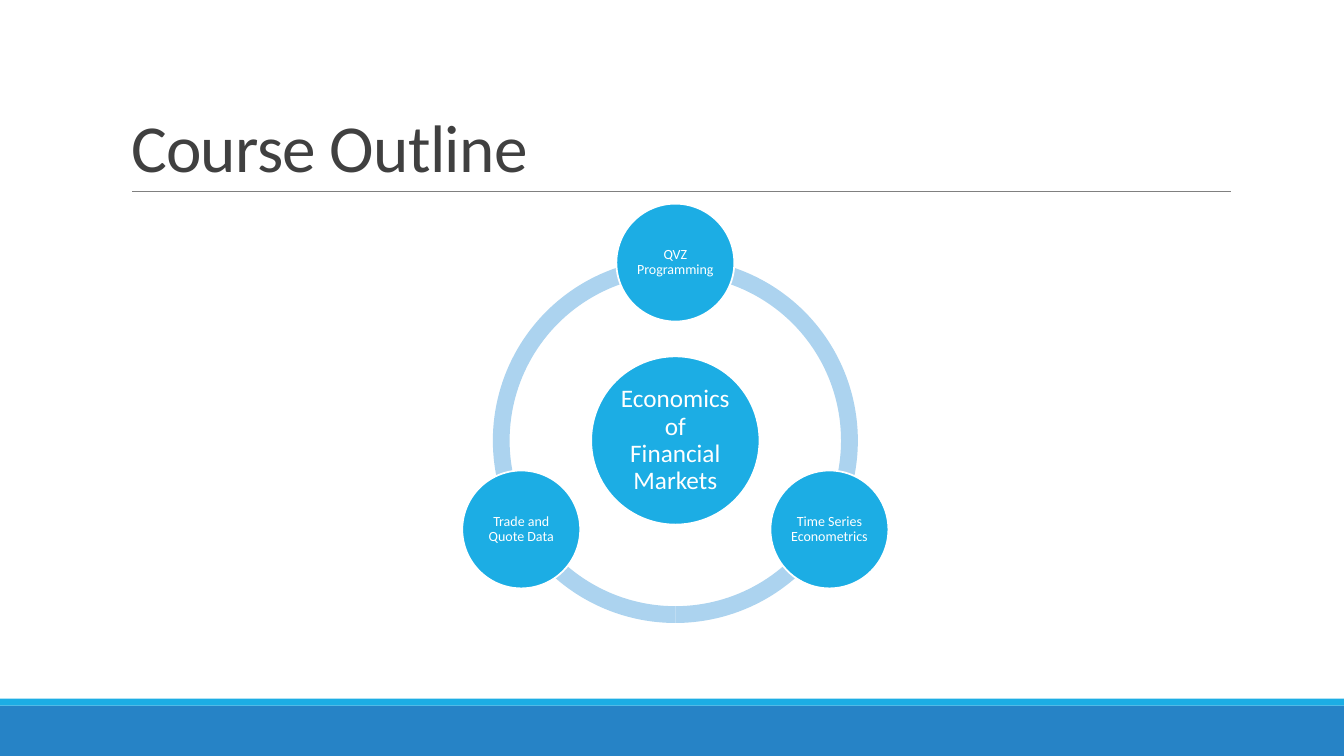
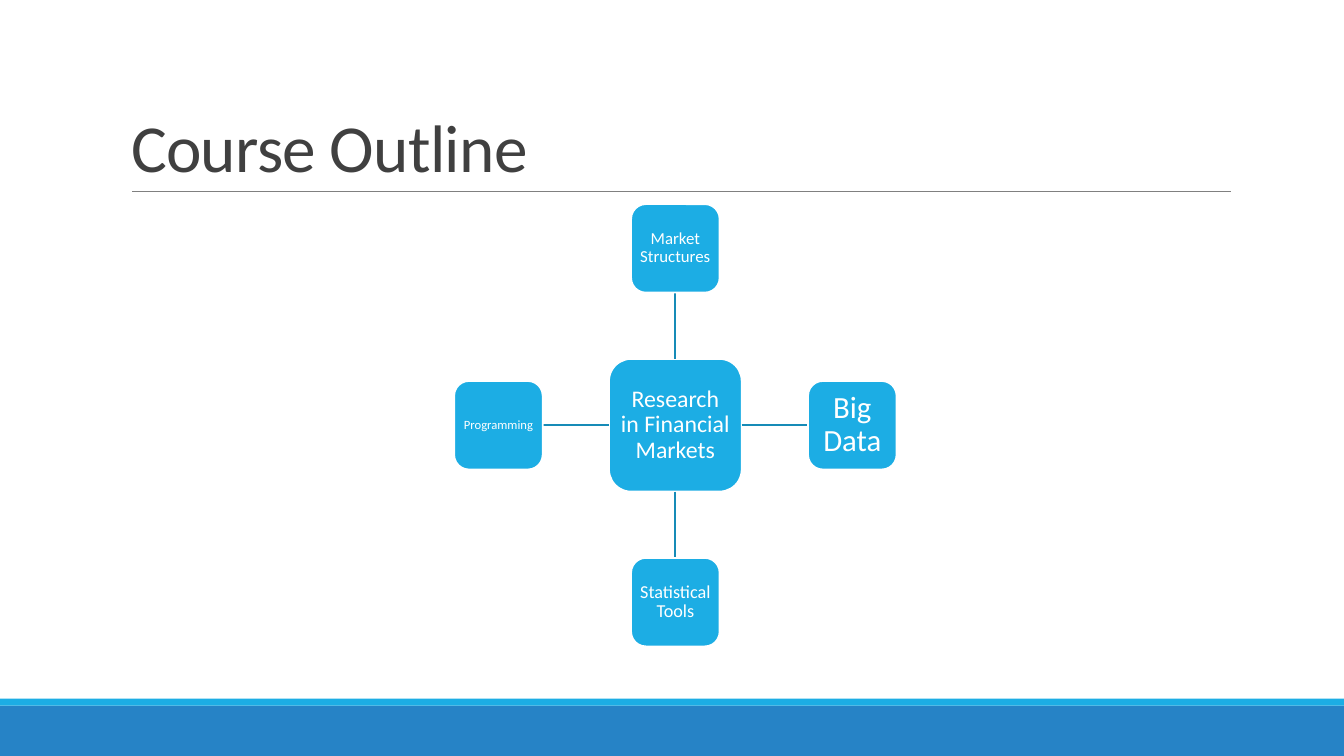
import math

import pptx
import pptx.dml.color
import pptx.enum.shapes
import pptx.enum.text
import pptx.oxml
import pptx.util

RGBColor = pptx.dml.color.RGBColor
MSO_SHAPE = pptx.enum.shapes.MSO_SHAPE

WIDTH = pptx.util.Inches(13.33)
HEIGHT = pptx.util.Inches(7.5)
FONT = "Calibri"

WHITE = RGBColor(0xFF, 0xFF, 0xFF)
SKY = RGBColor(0x1C, 0xAD, 0xE4)
BLUE = RGBColor(0x26, 0x83, 0xC6)
PALE_BLUE = RGBColor(0xAC, 0xD3, 0xEF)
TEAL = RGBColor(0x16, 0x8B, 0xB7)
GREY = RGBColor(0x80, 0x80, 0x80)
DARK = RGBColor(0x40, 0x40, 0x40)


def across(percent):
    return round(WIDTH * percent / 100)


def down(percent):
    return round(HEIGHT * percent / 100)


def around(centre, radius, degrees):
    angle = math.radians(degrees)
    return (centre[0] + round(radius * math.cos(angle)),
            centre[1] + round(radius * math.sin(angle)))


def add_filled(s, kind, box, fill, border=None):
    sp = s.shapes.add_shape(kind, *box)
    sp.shadow.inherit = False
    sp.fill.solid()
    sp.fill.fore_color.rgb = fill
    if border is None:
        sp.line.fill.background()
    else:
        sp.line.color.rgb = border
        sp.line.width = pptx.util.Pt(1.25)
    return sp


def add_line(s, start, end, color, width):
    line = s.shapes.add_connector(
        pptx.enum.shapes.MSO_CONNECTOR.STRAIGHT, *start, *end)
    line.line.color.rgb = color
    line.line.width = pptx.util.Pt(width)
    line.element.spPr.append(pptx.oxml.parse_xml(
        '<a:effectLst xmlns:a='
        '"http://schemas.openxmlformats.org/drawingml/2006/main"/>'))
    return line


def square(centre, size):
    return centre[0] - size // 2, centre[1] - size // 2, size, size


def add_node(s, kind, centre, size, text, points, inset):
    sp = add_filled(s, kind, square(centre, size), SKY, WHITE)
    tf = sp.text_frame
    tf.word_wrap = True
    tf.vertical_anchor = pptx.enum.text.MSO_ANCHOR.MIDDLE
    tf.margin_left = tf.margin_right = pptx.util.Inches(inset)
    tf.margin_top = tf.margin_bottom = pptx.util.Inches(inset)
    p = tf.paragraphs[0]
    p.text = text
    p.alignment = pptx.enum.text.PP_ALIGN.CENTER
    p.line_spacing = 0.9
    p.font.name = FONT
    p.font.size = pptx.util.Pt(points)
    p.font.color.rgb = WHITE


def set_up_layout(layout, s):
    for placeholder in list(layout.placeholders):
        if placeholder.placeholder_format.idx != 0:
            layout.shapes.element.remove(placeholder.element)
    title = layout.placeholders[0]
    title.left, title.top = across(9), down(4.13)
    title.width, title.height = across(82.5), down(21.2)
    rule_y = down(25.33)
    shared = [
        add_filled(s, MSO_SHAPE.RECTANGLE,
                   (0, down(93.33), WIDTH, down(6.67)), BLUE),
        add_filled(s, MSO_SHAPE.RECTANGLE,
                   (0, down(92.4), WIDTH, down(0.93)), SKY),
        add_line(s, (across(9.83), rule_y), (across(91.6), rule_y),
                 GREY, 0.5),
    ]
    for sp in shared:
        layout.shapes.element.append(sp.element)


def set_title(s, text):
    tf = s.shapes.title.text_frame
    tf.auto_size = pptx.enum.text.MSO_AUTO_SIZE.NONE
    tf.vertical_anchor = pptx.enum.text.MSO_ANCHOR.BOTTOM
    p = tf.paragraphs[0]
    p.text = text
    p.alignment = pptx.enum.text.PP_ALIGN.LEFT
    p.line_spacing = 0.85
    p.font.name = FONT
    p.font.size = pptx.util.Pt(48)
    p.font.color.rgb = DARK
    p.runs[0].font._element.set("spc", "-50")


def add_ring_diagram(s, hub, topics):
    centre = across(50.25), down(58.27)
    for start, end in ((90, 162), (18, 90), (162, 18)):
        arc = add_filled(s, MSO_SHAPE.BLOCK_ARC,
                         square(centre, down(48.27)), PALE_BLUE)
        arc.adjustments[0] = start * 0.6
        arc.adjustments[1] = end * 0.6
        arc.adjustments[2] = 0.046
    add_node(s, MSO_SHAPE.OVAL, centre, down(22.27), hub, 18, 0.03)
    for i, topic in enumerate(topics):
        spot = around(centre, down(23.53), -90 + i * 360 / len(topics))
        add_node(s, MSO_SHAPE.OVAL, spot, down(15.6), topic, 10, 0.01)


def add_spoke_diagram(s, hub, topics):
    centre = across(50.25), down(56.25)
    hub_size, topic_size, radius = down(17.55), down(11.7), down(23.4)
    add_node(s, MSO_SHAPE.ROUNDED_RECTANGLE, centre, hub_size, hub, 17, 0.05)
    for i, (topic, points, inset) in enumerate(topics):
        angle = -90 + i * 360 / len(topics)
        add_line(s, around(centre, hub_size / 2, angle),
                 around(centre, radius - topic_size / 2, angle), TEAL, 1.25)
        add_node(s, MSO_SHAPE.ROUNDED_RECTANGLE,
                 around(centre, radius, angle), topic_size,
                 topic, points, inset)


def main():
    prs = pptx.Presentation()
    prs.slide_width, prs.slide_height = WIDTH, HEIGHT
    layout = prs.slide_layouts[5]
    ring, spokes = [prs.slides.add_slide(layout) for _ in range(2)]
    set_up_layout(layout, ring)
    for s in (ring, spokes):
        set_title(s, "Course Outline")
    add_ring_diagram(ring, "Economics of Financial Markets", [
        "QVZ Programming",
        "Time Series Econometrics",
        "Trade and Quote Data",
    ])
    add_spoke_diagram(spokes, "Research in Financial Markets", [
        ("Market Structures", 12, 0.03),
        ("Big Data", 22, 0.06),
        ("Statistical Tools", 13, 0.04),
        ("Programming", 9, 0.03),
    ])
    prs.save("out.pptx")


if __name__ == "__main__":
    main()
